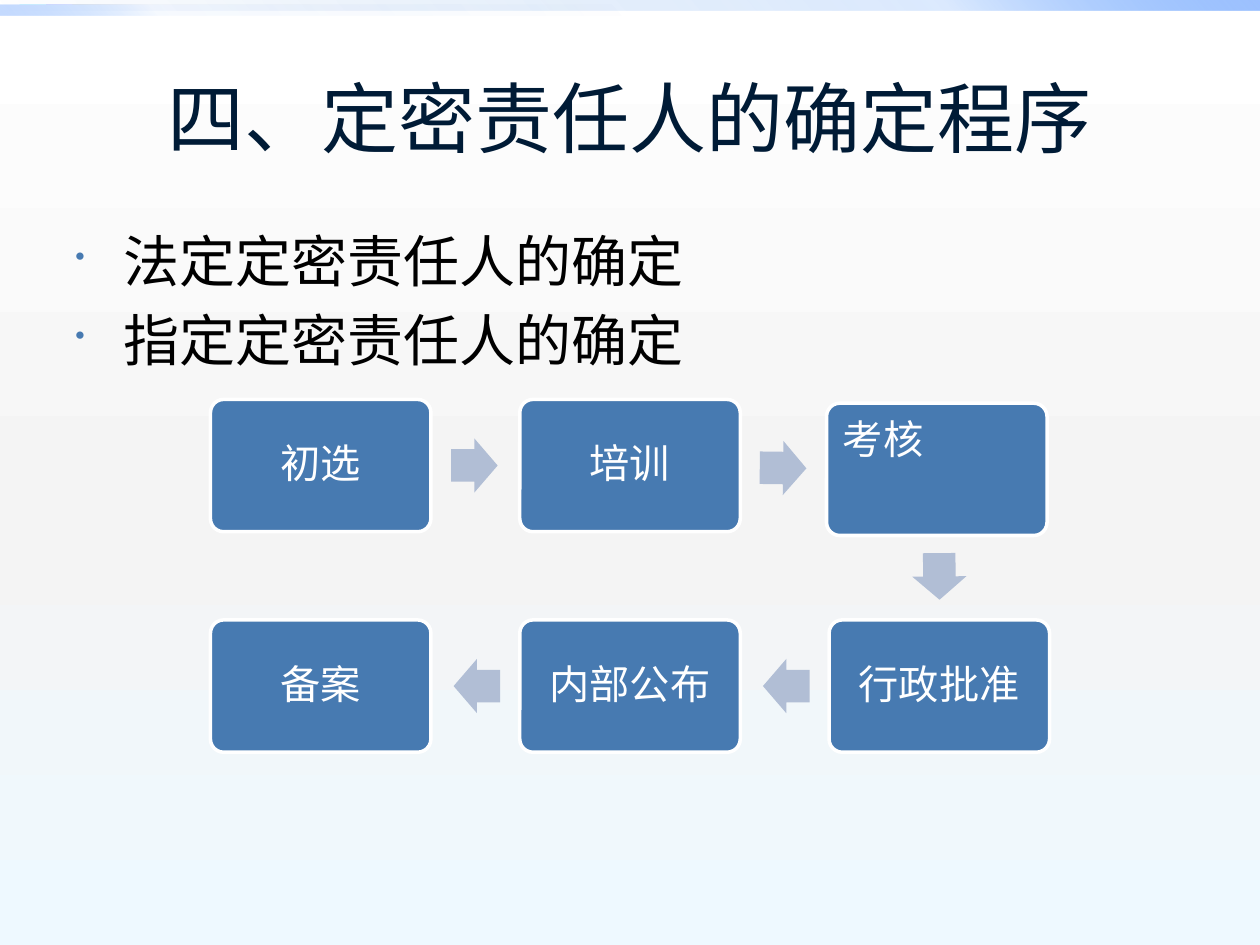
from dataclasses import dataclass

from lxml.etree import SubElement
from pptx import Presentation
from pptx.dml.color import RGBColor
from pptx.enum.shapes import MSO_SHAPE
from pptx.enum.text import MSO_ANCHOR, PP_ALIGN
from pptx.oxml.ns import qn
from pptx.util import Inches, Pt


@dataclass(frozen=True)
class Theme:
    navy: str = "001B36"
    black: str = "000000"
    white: str = "FFFFFF"
    blue: str = "477AB1"
    pale: str = "B1BED5"
    head: str = "Roboto"
    body: str = "Cambria"
    title: int = 44
    point: int = 32
    step: int = 23


THEME = Theme()
BOX_W, BOX_H = 1.75, 1.05
LEFT, PITCH = 1.67, 2.455
TOP, LOW = 3.17, 4.92


def rgb(code):
    return RGBColor.from_string(code)


def style(para, face, size, color):
    para.font.name = face
    para.font.size = Pt(size)
    para.font.color.rgb = rgb(color)


def blend(fill, owner, stops, angle):
    """Fill with (position, colour, opacity) stops, all in percent."""
    fill.gradient()
    grad = owner.find(".//" + qn("a:gradFill"))
    grad.find(qn("a:lin")).set("ang", str(angle * 60000))
    items = grad.find(qn("a:gsLst"))
    for old in list(items):
        items.remove(old)
    for place, code, alpha in stops:
        stop = SubElement(items, qn("a:gs"), pos=str(place * 1000))
        color = SubElement(stop, qn("a:srgbClr"), val=code)
        if alpha < 100:
            SubElement(color, qn("a:alpha"), val=str(alpha * 1000))


def add_shape(slide, kind, left, top, width, height):
    shape = slide.shapes.add_shape(
        kind, Inches(left), Inches(top), Inches(width), Inches(height))
    shape.shadow.inherit = False
    shape.line.fill.background()
    return shape


def add_band(slide, top, width, stops, angle):
    band = add_shape(slide, MSO_SHAPE.RECTANGLE, 0, top, width, 0.08)
    blend(band.fill, band._element, stops, angle)


def set_title(slide, text):
    title = slide.shapes.title
    title.left, title.top = Inches(0.5), Inches(0.3)
    title.width, title.height = Inches(9), Inches(1.25)
    frame = title.text_frame
    frame.text = text
    frame.vertical_anchor = MSO_ANCHOR.MIDDLE
    para = frame.paragraphs[0]
    para.alignment = PP_ALIGN.CENTER
    style(para, THEME.head, THEME.title, THEME.navy)


def add_list(slide, points):
    box = slide.shapes.add_textbox(
        Inches(0.5), Inches(1.75), Inches(9), Inches(1.4))
    frame = box.text_frame
    frame.word_wrap = True
    frame.text = "\n".join(points)
    for para in frame.paragraphs:
        props = para._p.get_or_add_pPr()
        props.set("marL", str(Inches(0.38)))
        props.set("indent", str(-Inches(0.38)))
        color = SubElement(props, qn("a:buClr"))
        SubElement(color, qn("a:srgbClr"), val=THEME.blue)
        SubElement(props, qn("a:buSzPct"), val="50000")
        SubElement(props, qn("a:buChar"), char="•")
        para.space_before = Pt(THEME.point * 0.2)
        style(para, THEME.body, THEME.point, THEME.black)


def add_step(slide, text, left, top, center=True):
    box = add_shape(slide, MSO_SHAPE.ROUNDED_RECTANGLE,
                    left, top, BOX_W, BOX_H)
    box.adjustments[0] = 0.1
    box.fill.solid()
    box.fill.fore_color.rgb = rgb(THEME.blue)
    box.line.color.rgb = rgb(THEME.white)
    box.line.width = Pt(2)
    frame = box.text_frame
    frame.margin_left = frame.margin_right = Inches(0.1)
    frame.margin_top = frame.margin_bottom = Inches(0.1)
    frame.vertical_anchor = MSO_ANCHOR.MIDDLE if center else MSO_ANCHOR.TOP
    frame.text = text
    para = frame.paragraphs[0]
    para.alignment = PP_ALIGN.CENTER if center else PP_ALIGN.LEFT
    para.line_spacing = 0.9
    style(para, THEME.body, THEME.step, THEME.white)


def add_arrow(slide, left, top, turn=0):
    arrow = add_shape(slide, MSO_SHAPE.RIGHT_ARROW, left, top, 0.37, 0.43)
    arrow.adjustments[0] = 0.6
    arrow.rotation = turn
    arrow.fill.solid()
    arrow.fill.fore_color.rgb = rgb(THEME.pale)


def main():
    deck = Presentation()
    deck.slide_width, deck.slide_height = Inches(10), Inches(7.5)
    slide = deck.slides.add_slide(deck.slide_layouts[5])

    # Backdrop and top bands
    blend(slide.background.fill, slide._element,
          [(0, "FFFFFF", 100), (55, "F4F4F4", 100), (100, "EEF9FF", 100)], 90)
    add_band(slide, 0, 10, [(0, "0058B7", 0), (75, "4F95FF", 20),
                            (100, "9EC2FF", 100)], 315)
    add_band(slide, 0.04, 5, [(0, "0058B7", 0), (75, "4F95FF", 5),
                              (100, "9EC2FF", 60)], 135)

    # Title and points
    set_title(slide, "四、定密责任人的确定程序")
    add_list(slide, ["法定定密责任人的确定", "指定定密责任人的确定"])

    # Steps: right along the top row, back along the lower one
    cols = [LEFT + PITCH * col for col in range(3)]
    for text, left in zip(["初选", "培训"], cols):
        add_step(slide, text, left, TOP)
    add_step(slide, "考核", 6.56, 3.2, center=False)
    for text, left in zip(["备案", "内部公布", "行政批准"], cols):
        add_step(slide, text, left, LOW)

    # Arrows between steps
    add_arrow(slide, 3.58, 3.48)
    add_arrow(slide, 6.03, 3.5, 0.7)
    add_arrow(slide, 7.27, 4.36, 89.5)
    for left in cols[:2]:
        add_arrow(slide, left + 1.93, 5.23, 180)

    deck.save("out.pptx")


if __name__ == "__main__":
    main()
